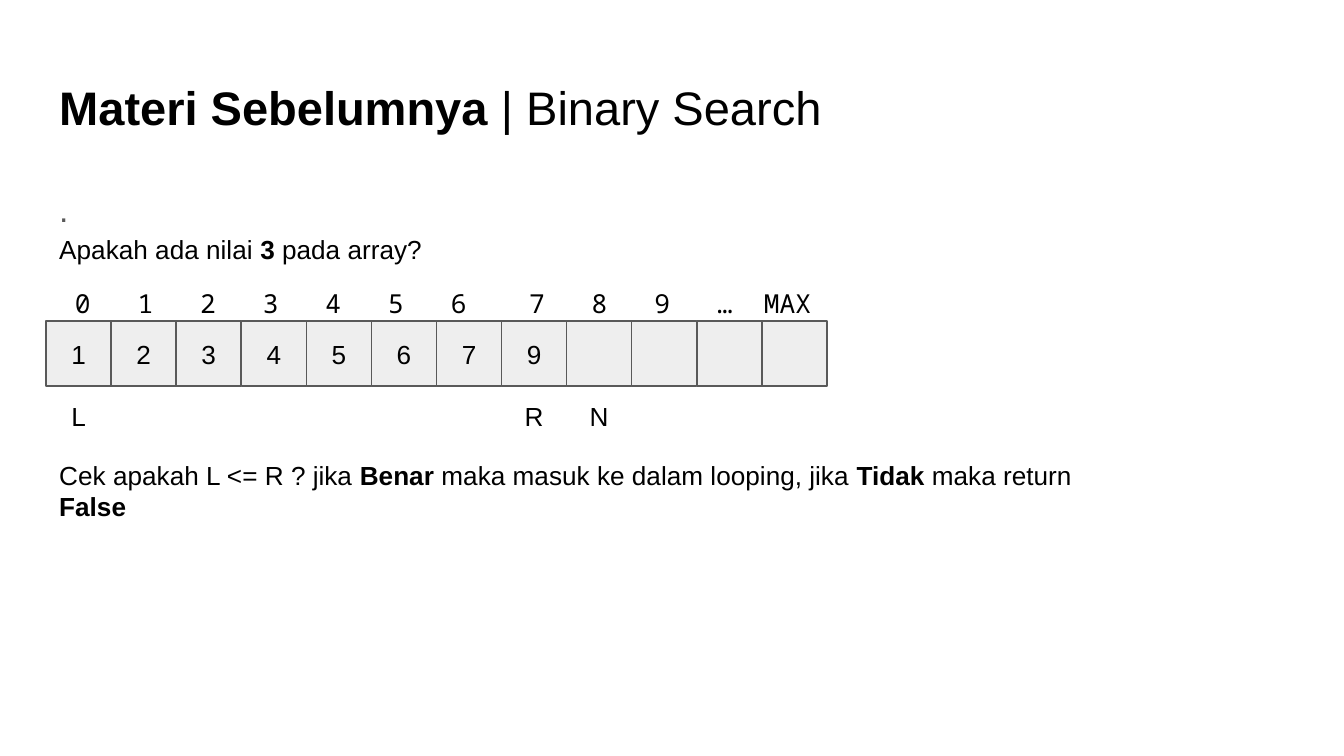
from lxml import etree
from pptx import Presentation
from pptx.dml.color import RGBColor
from pptx.enum.shapes import MSO_SHAPE
from pptx.enum.text import MSO_ANCHOR, MSO_AUTO_SIZE, PP_ALIGN
from pptx.oxml.ns import qn
from pptx.util import Cm, Pt

LEFT = 0.87
CELL = 1.23
ARRAY_TOP = 6.07
POINTER_TOP = 7.32
MONO_WIDTH = 0.296
VALUES = ["1", "2", "3", "4", "5", "6", "7", "9", "", "", "", ""]
INDEXES = [str(number) for number in range(10)] + ["…", "MAX"]
POINTERS = {"L": 0, "R": 7, "N": 8}


def color(hex_string):
    return RGBColor.from_string(hex_string)


def set_attributes(target, values):
    for name, value in values.items():
        setattr(target, name, value)


def write(shape, text, size=14, font="Arial", ink="000000", frame_format=None,
          paragraph_format=None, tabs=()):
    """Fill the shape with one paragraph; ** switches bold on and off."""
    frame = shape.text_frame
    margins = dict.fromkeys(
        ["margin_left", "margin_top", "margin_right", "margin_bottom"], Cm(0.25))
    set_attributes(frame, {"word_wrap": True, **margins, **(frame_format or {})})
    paragraph = frame.paragraphs[0]
    set_attributes(paragraph, paragraph_format or {})
    if tabs:
        tab_list = etree.SubElement(paragraph._p.get_or_add_pPr(), qn("a:tabLst"))
        for position in tabs:
            etree.SubElement(tab_list, qn("a:tab"), pos=str(position), algn="ctr")
    for number, part in enumerate(text.split("**")):
        if part:
            run = paragraph.add_run()
            run.text = part
            set_attributes(run.font, {"size": Pt(size), "name": font,
                                      "bold": number % 2 == 1})
            run.font.color.rgb = color(ink)


def add_text(shapes, text, left, top, width, height, **options):
    box = shapes.add_textbox(Cm(left), Cm(top), Cm(width), Cm(height))
    write(box, text, **options)


def add_cell(shapes, value, column):
    cell = shapes.add_shape(MSO_SHAPE.RECTANGLE, Cm(LEFT + column * CELL),
                            Cm(ARRAY_TOP), Cm(CELL), Cm(CELL))
    cell.shadow.inherit = False
    cell.fill.solid()
    cell.fill.fore_color.rgb = color("EEEEEE")
    cell.line.color.rgb = color("595959")
    cell.line.width = Pt(0.75)
    if value:
        write(cell, value, frame_format={"vertical_anchor": MSO_ANCHOR.MIDDLE},
              paragraph_format={"alignment": PP_ALIGN.CENTER})


def add_array(slide, grow):
    group = slide.shapes.add_group_shape()
    for column, value in enumerate(VALUES):
        add_cell(group.shapes, value, column)
    # Index labels sit four characters apart, with one extra from 7 onwards
    tabs = [Cm((4 * column + 1.5 + (column >= 7)) * MONO_WIDTH)
            for column in range(len(INDEXES))]
    add_text(group.shapes, "".join("\t" + label for label in INDEXES),
             LEFT, 5.16, 20.37, 1.12, font="Noto Sans Mono", tabs=tabs,
             frame_format={**grow, "vertical_anchor": MSO_ANCHOR.MIDDLE})


def main():
    presentation = Presentation()
    set_attributes(presentation, {"slide_width": Cm(25.4), "slide_height": Cm(14.29)})
    slide = presentation.slides.add_slide(presentation.slide_layouts[6])
    shapes = slide.shapes
    grow = {"auto_size": MSO_AUTO_SIZE.SHAPE_TO_FIT_TEXT}

    # Title and body
    add_text(shapes, "**Materi Sebelumnya** | Binary Search",
             LEFT, 1.24, 23.67, 1.6, size=25.2)
    add_text(shapes, ".", LEFT, 3.2, 23.67, 9.5, size=18, ink="595959",
             paragraph_format={"line_spacing": 1.15, "space_after": Pt(12)})

    # Array with its pointers
    add_array(slide, grow)
    for name, column in POINTERS.items():
        add_text(shapes, name, LEFT + column * CELL, POINTER_TOP, CELL, 1.12,
                 frame_format=grow, paragraph_format={"alignment": PP_ALIGN.CENTER})

    # Question and check
    add_text(shapes, "Apakah ada nilai **3** pada array?",
             LEFT, 4.17, 19.71, 1.12, frame_format=grow)
    add_text(shapes, "Cek apakah L <= R ? jika **Benar **maka masuk ke dalam looping, "
             "jika **Tidak** maka return **False**",
             LEFT, 8.43, 19.71, 1.7, frame_format=grow)
    presentation.save("out.pptx")


if __name__ == "__main__":
    main()
